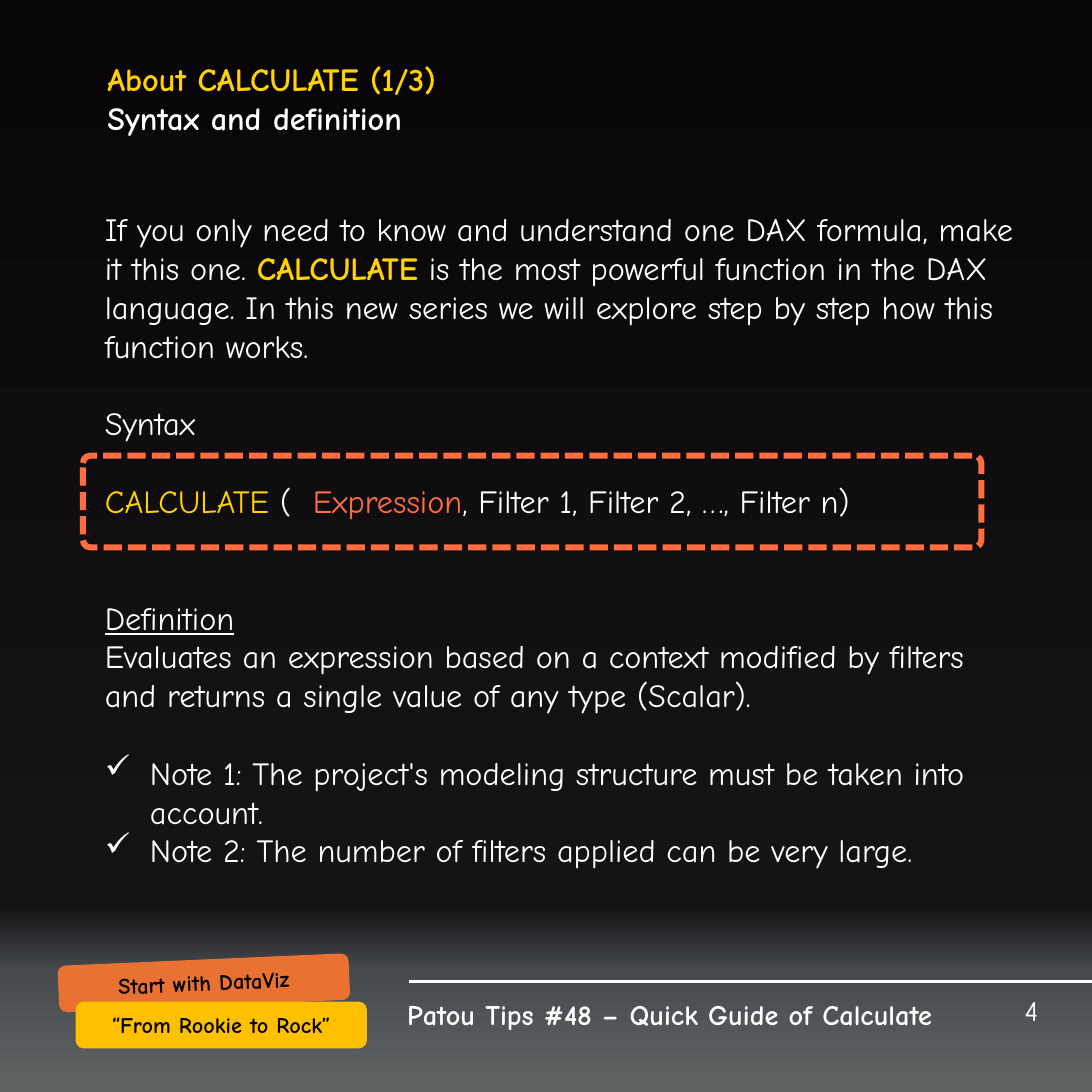
from copy import deepcopy

from lxml import etree
from pptx import Presentation
from pptx import util as u
from pptx.dml.color import RGBColor
from pptx.enum import dml, shapes, text
from pptx.oxml.ns import qn

SIDE = u.Inches(7.5)
CELL = SIDE // 75
FONT = "Comic Neue"
BODY_LINE = 19.2
COLOURS = {"white": "FFFFFF", "black": "000000", "yellow": "FFD200",
           "coral": "FF6E40", "orange": "E97132", "amber": "FFC000"}
SKY = [(0.01, "5D6162"), (0.11, "464B4E"), (0.17, "161316"), (1, "080609")]


def cells(*counts):
    """Turn counts of grid columns or rows into lengths."""
    return [round(count * CELL) for count in counts]


def colour(name):
    return RGBColor.from_string(COLOURS[name])


def paint_background(page):
    fill = page.background.fill
    fill.gradient()
    fill.gradient_angle = 90
    stops = page._element.find(".//" + qn("a:gsLst"))
    for stop in list(stops):
        stops.append(deepcopy(stop))
    for stop, (position, shade) in zip(fill.gradient_stops, SKY):
        stop.position = position
        stop.color.rgb = RGBColor.from_string(shade)


def add_panel(page, place, fill=None, line=None, corner=None, turn=0):
    """Add a rounded rectangle; place is left, top, width, height in cells."""
    panel = page.shapes.add_shape(shapes.MSO_SHAPE.ROUNDED_RECTANGLE, *cells(*place))
    panel.shadow.inherit = False
    panel.rotation = turn
    if corner is not None:
        panel.adjustments[0] = corner
    if fill:
        panel.fill.solid()
        panel.fill.fore_color.rgb = colour(fill)
    else:
        panel.fill.background()
    if line:
        panel.line.color.rgb = colour(line)
        panel.line.width = u.Pt(3)
        panel.line.dash_style = dml.MSO_LINE.SQUARE_DOT
    else:
        panel.line.fill.background()
    return panel


def prepare_frame(box, anchor=text.MSO_ANCHOR.TOP, inset=None):
    frame = box.text_frame
    frame.word_wrap = True
    frame.vertical_anchor = anchor
    if inset is not None:
        frame.margin_left = frame.margin_right = inset
        frame.margin_top = frame.margin_bottom = inset
    return frame


def add_para(frame, spans, size, tint="white", bold=False, align=text.PP_ALIGN.LEFT,
             gap=0, bullet=None, tab=None, underline=False):
    """Add a paragraph of (words, colour, bold) spans; gap is in body lines."""
    first = frame.paragraphs[0]
    para = frame.add_paragraph() if first.runs else first
    para.alignment = align
    if gap:
        para.space_before = u.Pt(gap * BODY_LINE)
    properties = para._p.get_or_add_pPr()
    if bullet:
        indent = u.Inches(0.31)
        properties.set("marL", str(indent))
        properties.set("indent", str(-indent))
        etree.SubElement(properties, qn("a:buChar"), char=bullet)
    if tab:
        stops = etree.SubElement(properties, qn("a:tabLst"))
        etree.SubElement(stops, qn("a:tab"), pos=str(u.Inches(tab)), algn="l")
    para.font.name = FONT
    para.font.size = u.Pt(size)
    para.font.bold = bold
    para.font.underline = underline
    para.font.color.rgb = colour(tint)
    for words, span_tint, span_bold in spans:
        span = para.add_run()
        span.text = words
        if span_tint != tint:
            span.font.color.rgb = colour(span_tint)
        if span_bold != bold:
            span.font.bold = span_bold


def add_line(frame, words, size, tint="white", bold=False, **style):
    """Add a paragraph with one look throughout."""
    add_para(frame, [(words, tint, bold)], size, tint, bold, **style)


def add_tag(page, words, place, fill, turn=0):
    frame = prepare_frame(add_panel(page, place, fill=fill, turn=turn))
    add_line(frame, words, 11, "black", True, align=text.PP_ALIGN.CENTER)


def add_heading(page):
    frame = prepare_frame(page.shapes.add_textbox(*cells(6.4, 3.6, 57, 6.4)))
    add_line(frame, "About CALCULATE (1/3)", 16, "yellow", True)
    add_line(frame, "Syntax and definition", 16, bold=True)


def add_body(page):
    panel = add_panel(page, (6.4, 13.6, 64.6, 50.1), corner=0)
    frame = prepare_frame(panel, inset=u.Inches(0.08))
    add_para(frame, [
        ("If you only need to know and understand one DAX formula, make it this one. ",
         "white", False),
        ("CALCULATE", "yellow", True),
        (" is the most powerful function in the DAX language. In this new series "
         "we will explore step by step how this function works.", "white", False)], 16)
    add_line(frame, "Syntax", 16, gap=1)
    add_para(frame, [
        ("CALCULATE", "yellow", False), (" (\t", "white", False),
        ("Expression", "coral", False),
        (", Filter 1, Filter 2, …, Filter n)", "white", False)], 16, gap=1, tab=1.43)
    add_line(frame, "Definition", 16, gap=2, underline=True)
    add_line(frame, "Evaluates an expression based on a context modified by filters "
             "and returns a single value of any type (Scalar).", 16)
    notes = ["Note 1: The project's modeling structure must be taken into account.",
             "Note 2: The number of filters applied can be very large."]
    for number, note in enumerate(notes):
        add_line(frame, note, 16, gap=0 if number else 1, bullet="✓")


def add_footer(page):
    rule = page.shapes.add_connector(shapes.MSO_CONNECTOR.STRAIGHT,
                                     *cells(28.1, 67.4, 75, 67.4))
    rule.line.color.rgb = colour("white")
    rule.line.width = u.Pt(1.5)
    etree.SubElement(rule._element.spPr, qn("a:effectLst"))
    add_tag(page, "Start with DataViz", (4, 65.9, 20, 3.2), "orange", turn=357.5)
    add_tag(page, "“From Rookie to Rock”", (5.2, 68.8, 20, 3.2), "amber")
    title = prepare_frame(add_panel(page, (26.8, 67.8, 48.2, 3.7)))
    add_line(title, "Patou Tips #48 – Quick Guide of Calculate", 14, bold=True)
    number = page.shapes.add_textbox(*cells(55.4, 67.4, 16.9, 4))
    add_line(prepare_frame(number, text.MSO_ANCHOR.MIDDLE), "4", 14,
             align=text.PP_ALIGN.RIGHT)


def main():
    deck = Presentation()
    deck.slide_width = deck.slide_height = SIDE
    page = deck.slides.add_slide(deck.slide_layouts[6])
    paint_background(page)
    add_footer(page)
    add_body(page)
    add_panel(page, (5.7, 31.3, 61.7, 6.3), line="coral", corner=0.08)
    add_heading(page)
    deck.save("out.pptx")


if __name__ == "__main__":
    main()
